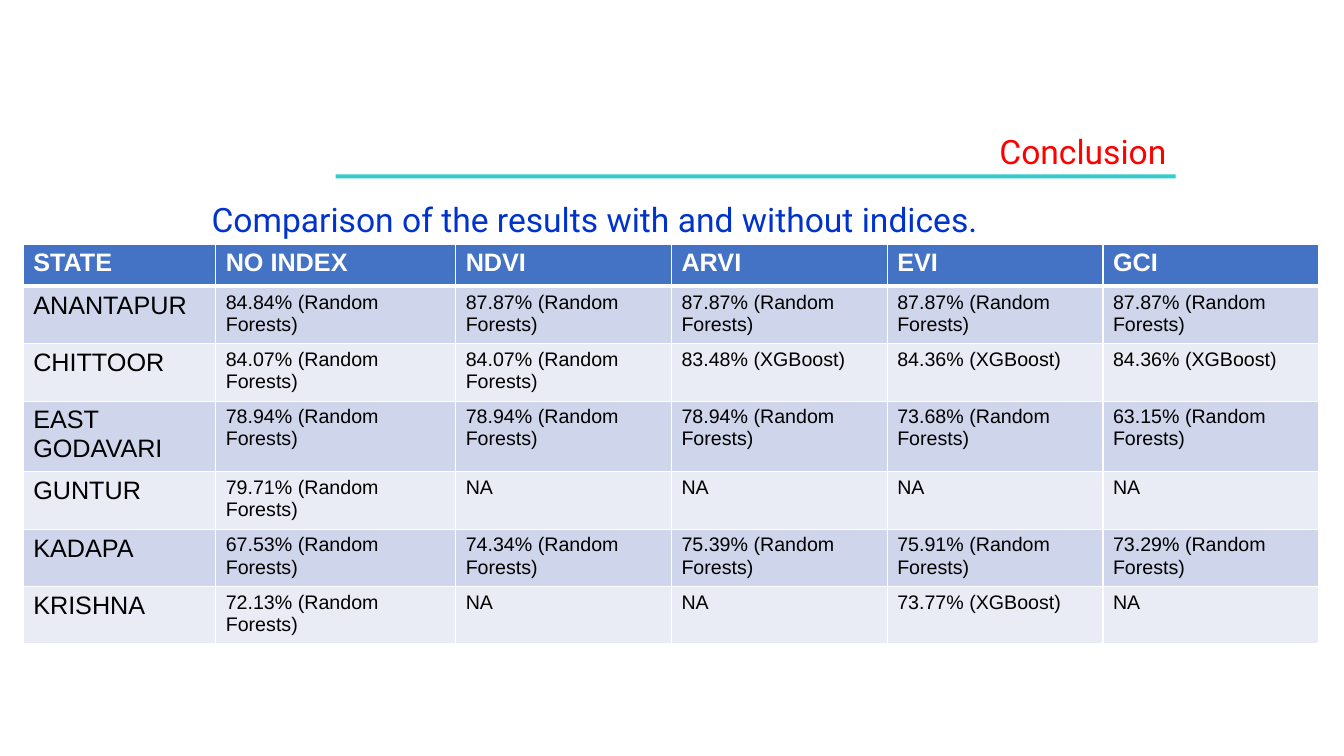
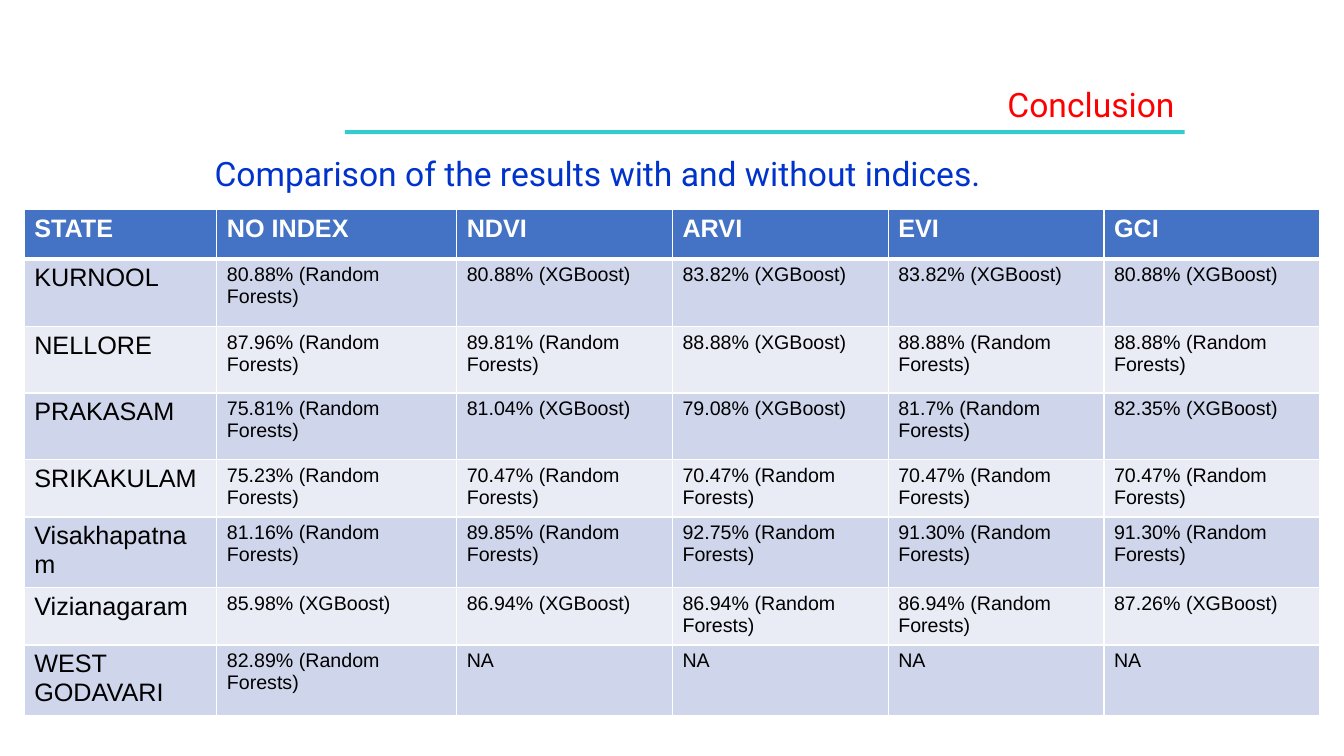
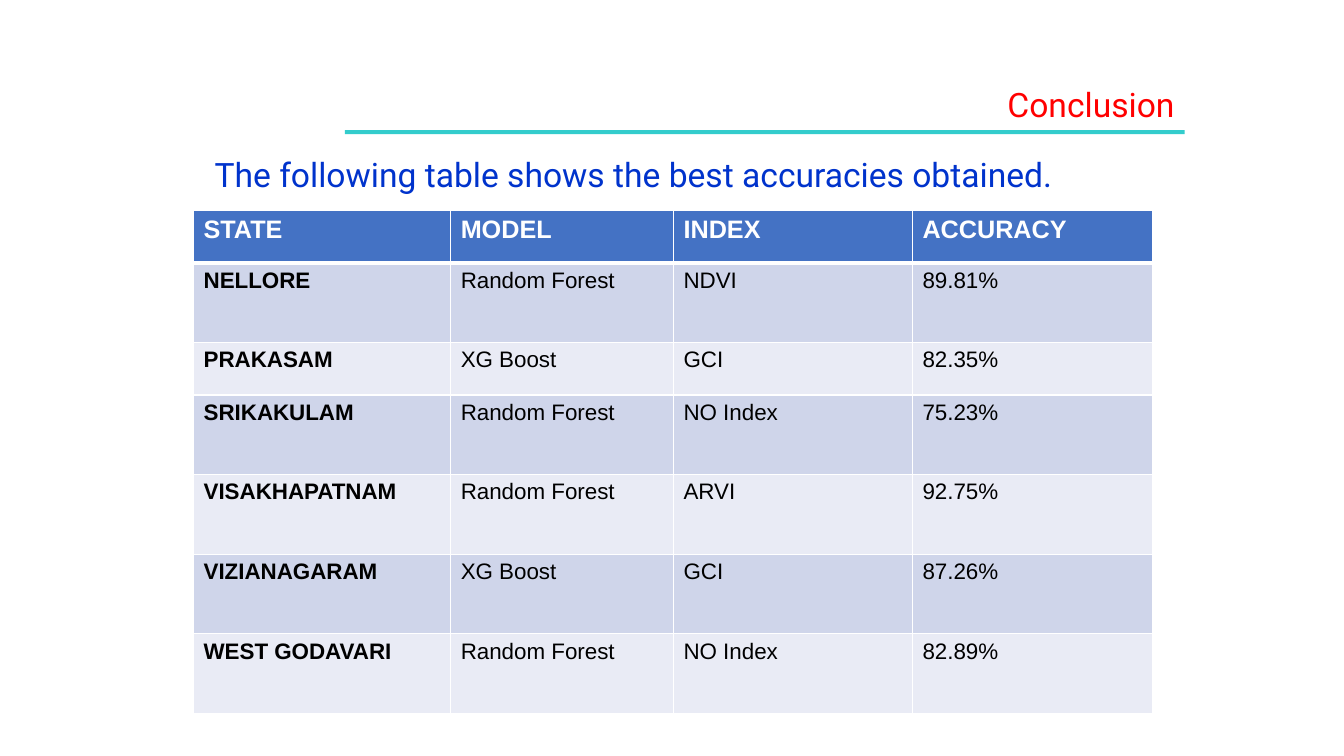
from dataclasses import dataclass

from lxml.etree import SubElement
from pptx import Presentation
from pptx.dml.color import RGBColor
from pptx.enum.shapes import MSO_SHAPE
from pptx.enum.text import MSO_ANCHOR, MSO_AUTO_SIZE, PP_ALIGN
from pptx.oxml.ns import qn
from pptx.util import Emu, Pt

EMU_PER_PX = 9144  # 100 px to the inch


@dataclass(frozen=True)
class Theme:
    heading_font: str = "Roboto"
    table_font: str = "Arial"
    title: str = "FF0000"
    caption: str = "0033CC"
    rule: str = "33CCCC"
    header_fill: str = "4472C4"
    header_text: str = "FFFFFF"
    body_text: str = "000000"
    border: str = "FFFFFF"
    bands: tuple[str, str] = ("CFD5EA", "E9EBF5")
    heading_size: int = 24
    header_size: int = 18
    border_width: int = 1
    header_border_width: int = 3


THEME = Theme()
Point = tuple[int, int]


@dataclass(frozen=True)
class ResultTable:
    origin: Point
    column_widths: tuple[int, ...]
    row_heights: tuple[int, ...]
    rows: tuple[tuple[str, ...], ...]
    state_size: int = 18
    state_bold: bool = False
    value_size: int = 14


@dataclass(frozen=True)
class ConclusionSlide:
    title_at: Point
    rule_at: Point
    caption_at: Point
    caption: str
    results: ResultTable


def px(length: int) -> Emu:
    return Emu(length * EMU_PER_PX)


def rf(percent: str) -> str:
    return f"{percent}% (Random Forests)"


def xgb(percent: str) -> str:
    return f"{percent}% (XGBoost)"


def place(shape, at: Point, width: int, height: int) -> None:
    box = {"left": at[0], "top": at[1], "width": width, "height": height}
    for side, length in box.items():
        setattr(shape, side, px(length))


def write(frame, text: str, color: str, **font_format) -> None:
    """Put one run of formatted text into a text frame."""
    run = frame.paragraphs[0].add_run()
    run.text = text
    for attribute, value in font_format.items():
        setattr(run.font, attribute, value)
    run.font.color.rgb = RGBColor.from_string(color)


def write_heading(shape, text: str, color: str, alignment: PP_ALIGN) -> None:
    frame = shape.text_frame
    frame_format = {"word_wrap": True, "auto_size": MSO_AUTO_SIZE.SHAPE_TO_FIT_TEXT,
                    "vertical_anchor": MSO_ANCHOR.TOP}
    for attribute, value in frame_format.items():
        setattr(frame, attribute, value)
    frame.paragraphs[0].alignment = alignment
    write(frame, text, color, name=THEME.heading_font, size=Pt(THEME.heading_size))


def add_rule(slide, at: Point) -> None:
    rule = slide.shapes.add_shape(MSO_SHAPE.RECTANGLE, *map(px, (*at, 833, 4)))
    rule.shadow.inherit = False
    rule.fill.solid()
    rule.fill.fore_color.rgb = RGBColor.from_string(THEME.rule)
    rule.line.fill.background()


def set_borders(cell, top: int, bottom: int) -> None:
    """Draw the four cell borders; widths are in points."""
    properties = cell._tc.get_or_add_tcPr()
    side = THEME.border_width
    widths = {"a:lnL": side, "a:lnR": side, "a:lnT": top, "a:lnB": bottom}
    for tag, width in widths.items():
        line = SubElement(properties, qn(tag), w=str(Pt(width)))
        SubElement(SubElement(line, qn("a:solidFill")), qn("a:srgbClr"), val=THEME.border)


def add_results(slide, results: ResultTable) -> None:
    widths, heights = results.column_widths, results.row_heights
    table = slide.shapes.add_table(
        len(heights), len(widths),
        *map(px, (*results.origin, sum(widths), sum(heights)))).table
    for column, width in zip(table.columns, widths):
        column.width = px(width)
    for row, height in zip(table.rows, heights):
        row.height = px(height)

    thin, thick = THEME.border_width, THEME.header_border_width
    for row_index, texts in enumerate(results.rows):
        is_header = row_index == 0
        fill = THEME.header_fill if is_header else THEME.bands[(row_index - 1) % 2]
        color = THEME.header_text if is_header else THEME.body_text
        for column_index, text in enumerate(texts):
            cell = table.cell(row_index, column_index)
            set_borders(cell, top=thick if row_index == 1 else thin,
                        bottom=thick if is_header else thin)
            cell.fill.solid()
            cell.fill.fore_color.rgb = RGBColor.from_string(fill)
            if is_header:
                size, bold = THEME.header_size, True
            elif column_index == 0:
                size, bold = results.state_size, results.state_bold
            else:
                size, bold = results.value_size, False
            write(cell.text_frame, text, color, name=THEME.table_font, size=Pt(size), bold=bold)


def add_conclusion(presentation, content: ConclusionSlide) -> None:
    slide = presentation.slides.add_slide(presentation.slide_layouts.get_by_name("Title Only"))
    add_rule(slide, content.rule_at)
    title = slide.shapes.title
    place(title, content.title_at, 850, 50)
    write_heading(title, "Conclusion", THEME.title, PP_ALIGN.RIGHT)
    caption = slide.shapes.add_textbox(*map(px, (*content.caption_at, 992, 50)))
    write_heading(caption, content.caption, THEME.caption, PP_ALIGN.LEFT)
    add_results(slide, content.results)


COMPARISON = "Comparison of the results with and without indices."
INDEX_HEADER = ("STATE", "NO INDEX", "NDVI", "ARVI", "EVI", "GCI")
INDEX_WIDTHS = (191, 238) + (214,) * 4

SLIDES = (
    ConclusionSlide(
        title_at=(317, 125), rule_at=(333, 173), caption_at=(200, 192), caption=COMPARISON,
        results=ResultTable(
            origin=(23, 242),
            column_widths=INDEX_WIDTHS,
            row_heights=(42, 57, 57, 70, 57, 57, 57),
            rows=(
                INDEX_HEADER,
                ("ANANTAPUR", rf("84.84")) + (rf("87.87"),) * 4,
                ("CHITTOOR", rf("84.07"), rf("84.07"), xgb("83.48"), xgb("84.36"), xgb("84.36")),
                ("EAST GODAVARI", rf("78.94"), rf("78.94"), rf("78.94"), rf("73.68"), rf("63.15")),
                ("GUNTUR", rf("79.71")) + ("NA",) * 4,
                ("KADAPA", rf("67.53"), rf("74.34"), rf("75.39"), rf("75.91"), rf("73.29")),
                ("KRISHNA", rf("72.13"), "NA", "NA", xgb("73.77"), "NA"),
            ))),
    ConclusionSlide(
        title_at=(325, 78), rule_at=(342, 129), caption_at=(203, 147), caption=COMPARISON,
        results=ResultTable(
            origin=(24, 208),
            column_widths=INDEX_WIDTHS,
            row_heights=(49, 67, 66, 66, 57, 70, 57, 70),
            rows=(
                INDEX_HEADER,
                ("KURNOOL", rf("80.88"), xgb("80.88"), xgb("83.82"), xgb("83.82"), xgb("80.88")),
                ("NELLORE", rf("87.96"), rf("89.81"), xgb("88.88"), rf("88.88"), rf("88.88")),
                ("PRAKASAM", rf("75.81"), xgb("81.04"), xgb("79.08"), rf("81.7"), xgb("82.35")),
                ("SRIKAKULAM", rf("75.23")) + (rf("70.47"),) * 4,
                ("Visakhapatnam", rf("81.16"), rf("89.85"), rf("92.75"), rf("91.30"), rf("91.30")),
                ("Vizianagaram", xgb("85.98"), xgb("86.94"), rf("86.94"), rf("86.94"),
                 xgb("87.26")),
                ("WEST GODAVARI", rf("82.89")) + ("NA",) * 4,
            ))),
    ConclusionSlide(
        title_at=(325, 78), rule_at=(342, 129), caption_at=(203, 148),
        caption="The following table shows the best accuracies obtained.",
        results=ResultTable(
            origin=(192, 209),
            column_widths=(255, 221, 237, 238),
            row_heights=(52, 79, 52, 79, 79, 79, 79),
            state_size=16, state_bold=True, value_size=16,
            rows=(
                ("STATE", "MODEL", "INDEX", "ACCURACY"),
                ("NELLORE", "Random Forest", "NDVI", "89.81%"),
                ("PRAKASAM", "XG Boost", "GCI", "82.35%"),
                ("SRIKAKULAM", "Random Forest", "NO Index", "75.23%"),
                ("VISAKHAPATNAM", "Random Forest", "ARVI", "92.75%"),
                ("VIZIANAGARAM", "XG Boost", "GCI", "87.26%"),
                ("WEST GODAVARI", "Random Forest", "NO Index", "82.89%"),
            ))),
)


def main() -> None:
    presentation = Presentation()
    presentation.slide_width, presentation.slide_height = px(1333), px(750)
    for content in SLIDES:
        add_conclusion(presentation, content)
    presentation.save("out.pptx")


if __name__ == "__main__":
    main()
